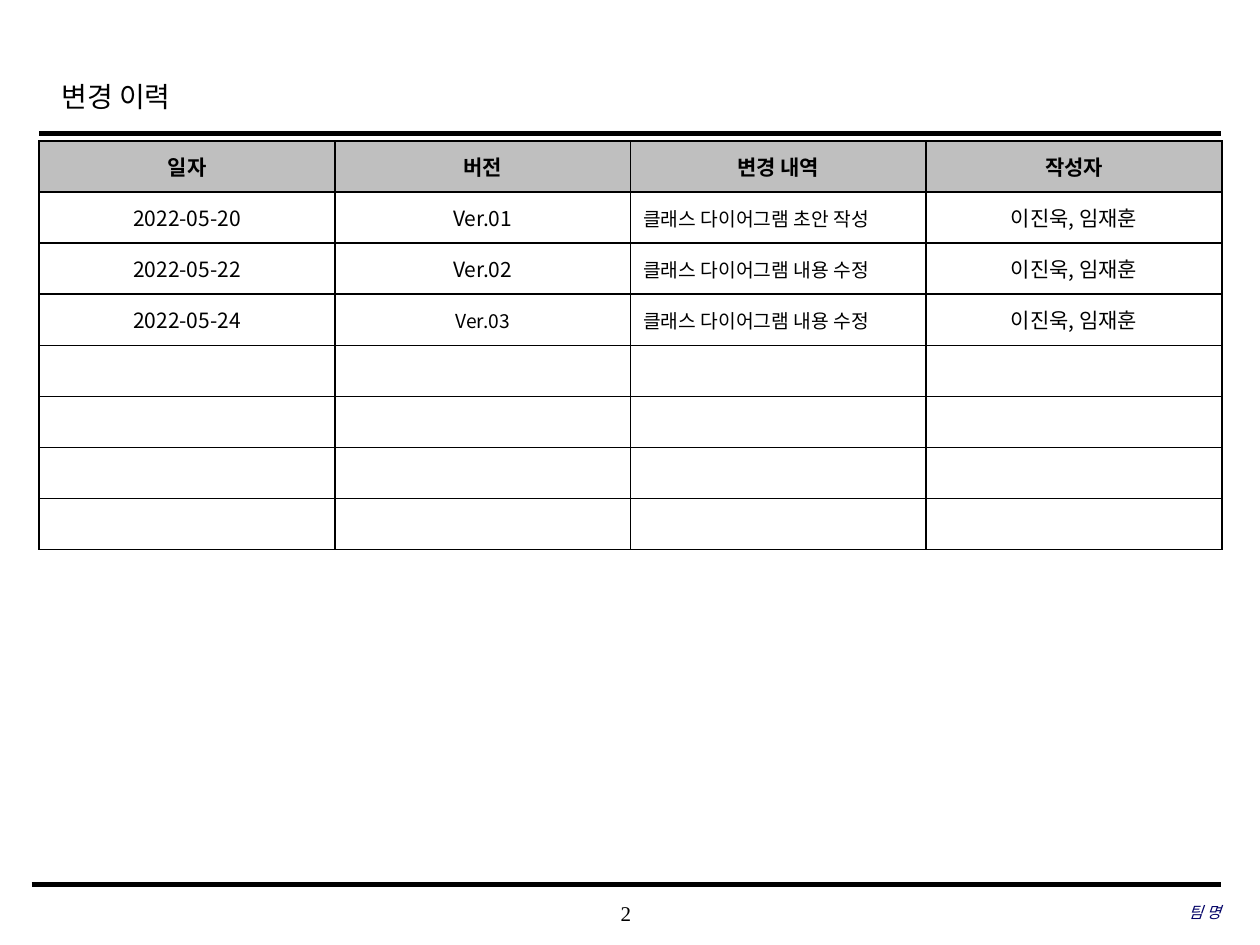
from dataclasses import dataclass

from lxml import etree
from pptx import Presentation
from pptx import util as u
from pptx.dml.color import RGBColor
from pptx.enum import shapes, text
from pptx.oxml.ns import qn


@dataclass(frozen=True)
class Theme:
    black: str = "000000"
    navy: str = "000066"
    header: str = "BFBFBF"
    white: str = "FFFFFF"
    serif: str = "Times New Roman"
    sans: str = "Noto Sans CJK KR"
    title_size: float = 16
    body_size: float = 12
    detail_size: float = 11
    footer_size: float = 9
    border: float = 1


@dataclass(frozen=True)
class Rule:
    left: float
    right: float
    top: float
    weight: float


@dataclass(frozen=True)
class Footer:
    label: str
    left: float
    top: float
    width: float
    align: text.PP_ALIGN
    size: float
    color: str
    italic: bool = False


THEME = Theme()
CENTER, LEFT, RIGHT = text.PP_ALIGN.CENTER, text.PP_ALIGN.LEFT, text.PP_ALIGN.RIGHT

RULES = [Rule(0.79, 24.61, 2.69, 2.5), Rule(0.64, 24.61, 17.83, 3)]
FOOTERS = [
    Footer("2", 9.98, 17.98, 5.28, CENTER, THEME.body_size, THEME.black),
    Footer("팀 명", 16.84, 17.96, 7.77, RIGHT, THEME.footer_size, THEME.navy, True),
]

AUTHORS = "이진욱, 임재훈"
HISTORY = [
    ("일자", "버전", "변경 내역", "작성자"),
    ("2022-05-20", "Ver.01", "클래스 다이어그램 초안 작성", AUTHORS),
    ("2022-05-22", "Ver.02", "클래스 다이어그램 내용 수정", AUTHORS),
    ("2022-05-24", "Ver.03", "클래스 다이어그램 내용 수정", AUTHORS),
]
ROW_COUNT, DETAIL_COLUMN = 8, 2
SMALL_CELLS = {(1, 2), (2, 2), (3, 2), (3, 1)}
COLUMN_WIDTH, ROW_HEIGHT = 5.96, 1.03


def format_text(paragraph, size: float, color: str, font_name: str,
                bold: bool = False, italic: bool = False) -> None:
    for run in paragraph.runs:
        font = run.font
        font.size, font.bold, font.italic = u.Pt(size), bold, italic
        font.color.rgb = RGBColor.from_string(color)
        font.name = font_name
        # Hangul takes the East Asian typeface
        properties = run._r.get_or_add_rPr()
        etree.SubElement(properties, qn("a:ea"), typeface=THEME.sans)


def draw_rule(slide, rule: Rule) -> None:
    connector = slide.shapes.add_connector(
        shapes.MSO_CONNECTOR.STRAIGHT,
        u.Cm(rule.left), u.Cm(rule.top), u.Cm(rule.right), u.Cm(rule.top))
    connector.line.color.rgb = RGBColor.from_string(THEME.black)
    connector.line.width = u.Pt(rule.weight)
    etree.SubElement(connector._element.spPr, qn("a:effectLst"))


def draw_title(slide, label: str) -> None:
    title = slide.shapes.title
    title.left, title.top = u.Cm(0.99), u.Cm(1.24)
    title.width, title.height = u.Cm(19.18), u.Cm(1.27)
    frame = title.text_frame
    frame.text = label
    frame.auto_size = text.MSO_AUTO_SIZE.NONE
    frame.vertical_anchor = text.MSO_ANCHOR.MIDDLE
    paragraph = frame.paragraphs[0]
    paragraph.alignment, paragraph.line_spacing = LEFT, 1.2
    format_text(paragraph, THEME.title_size, THEME.black, THEME.serif)


def draw_footer(slide, footer: Footer) -> None:
    box = slide.shapes.add_textbox(
        u.Cm(footer.left), u.Cm(footer.top), u.Cm(footer.width), u.Cm(0.84))
    frame = box.text_frame
    frame.text = footer.label
    frame.word_wrap = True
    frame.vertical_anchor = text.MSO_ANCHOR.MIDDLE
    frame.margin_left = frame.margin_right = frame.margin_top = frame.margin_bottom = 0
    paragraph = frame.paragraphs[0]
    paragraph.alignment = footer.align
    format_text(paragraph, footer.size, footer.color, THEME.serif, italic=footer.italic)


def add_borders(cell) -> None:
    properties = cell._tc.get_or_add_tcPr()
    for position, side in enumerate(("a:lnL", "a:lnR", "a:lnT", "a:lnB")):
        line = etree.Element(qn(side), w=str(u.Pt(THEME.border)))
        fill = etree.SubElement(line, qn("a:solidFill"))
        etree.SubElement(fill, qn("a:srgbClr"), val=THEME.black)
        properties.insert(position, line)


def draw_history(slide) -> None:
    column_count = len(HISTORY[0])
    table = slide.shapes.add_table(
        ROW_COUNT, column_count, u.Cm(0.79), u.Cm(2.84),
        u.Cm(COLUMN_WIDTH * column_count), u.Cm(ROW_HEIGHT * ROW_COUNT)).table
    for column in table.columns:
        column.width = u.Cm(COLUMN_WIDTH)
    for row_index, row in enumerate(table.rows):
        row.height = u.Cm(ROW_HEIGHT)
        is_header = row_index == 0
        for column_index, cell in enumerate(row.cells):
            cell.fill.solid()
            cell.fill.fore_color.rgb = RGBColor.from_string(
                THEME.header if is_header else THEME.white)
            cell.vertical_anchor = text.MSO_ANCHOR.MIDDLE
            cell.margin_top = cell.margin_bottom = 0
            add_borders(cell)
            if row_index >= len(HISTORY):
                continue
            cell.text_frame.text = HISTORY[row_index][column_index]
            paragraph = cell.text_frame.paragraphs[0]
            is_detail = column_index == DETAIL_COLUMN and not is_header
            paragraph.alignment = LEFT if is_detail else CENTER
            is_small = (row_index, column_index) in SMALL_CELLS
            size = THEME.detail_size if is_small else THEME.body_size
            format_text(paragraph, size, THEME.black, THEME.sans, bold=is_header)


def main() -> None:
    presentation = Presentation()
    presentation.slide_width, presentation.slide_height = u.Cm(25.4), u.Cm(19.05)
    slide = presentation.slides.add_slide(presentation.slide_layouts[5])

    # Heading and the rules that frame the page
    draw_title(slide, "변경 이력")
    for rule in RULES:
        draw_rule(slide, rule)

    # Page number and team name
    for footer in FOOTERS:
        draw_footer(slide, footer)

    # Change history
    draw_history(slide)
    presentation.save("out.pptx")


if __name__ == "__main__":
    main()
